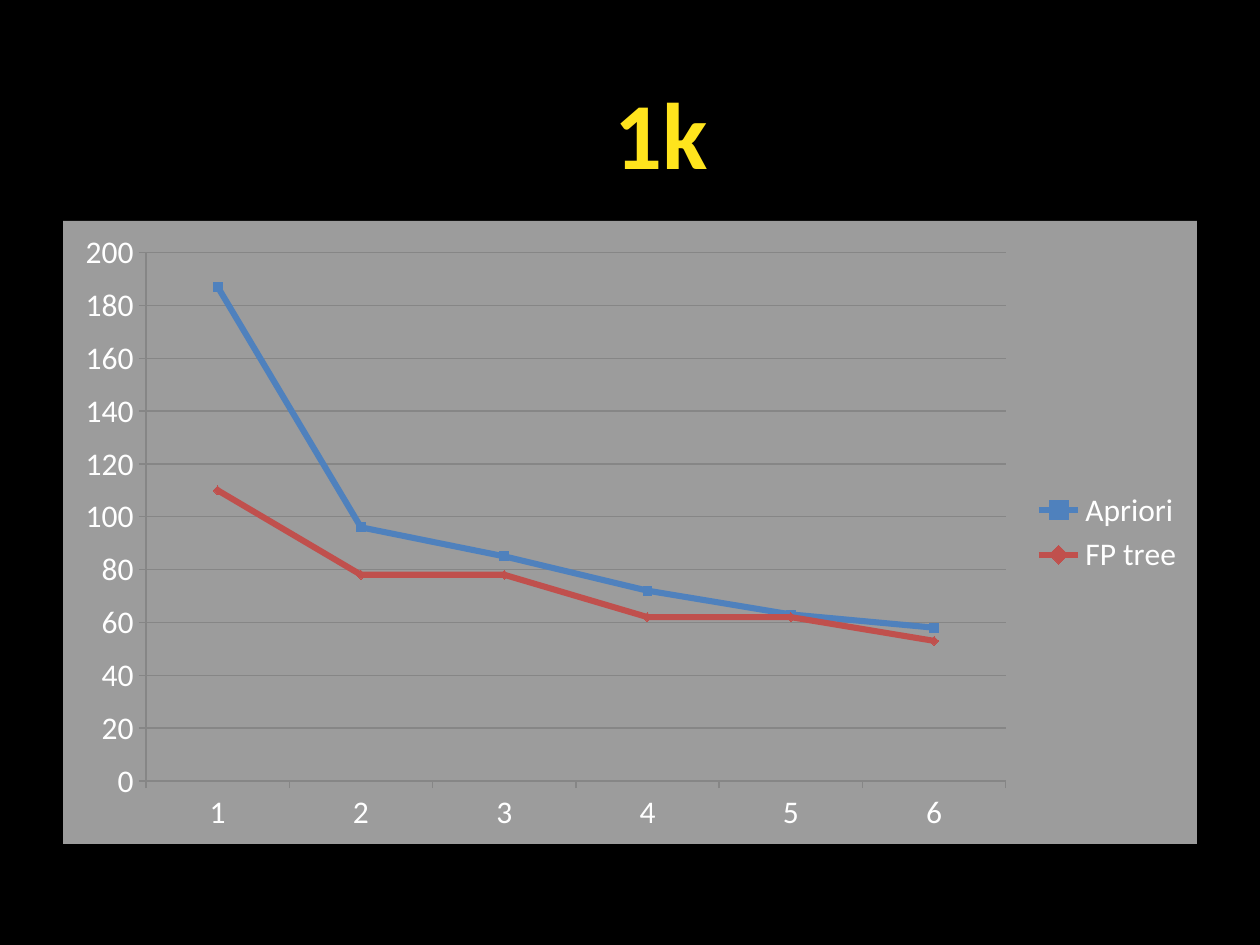
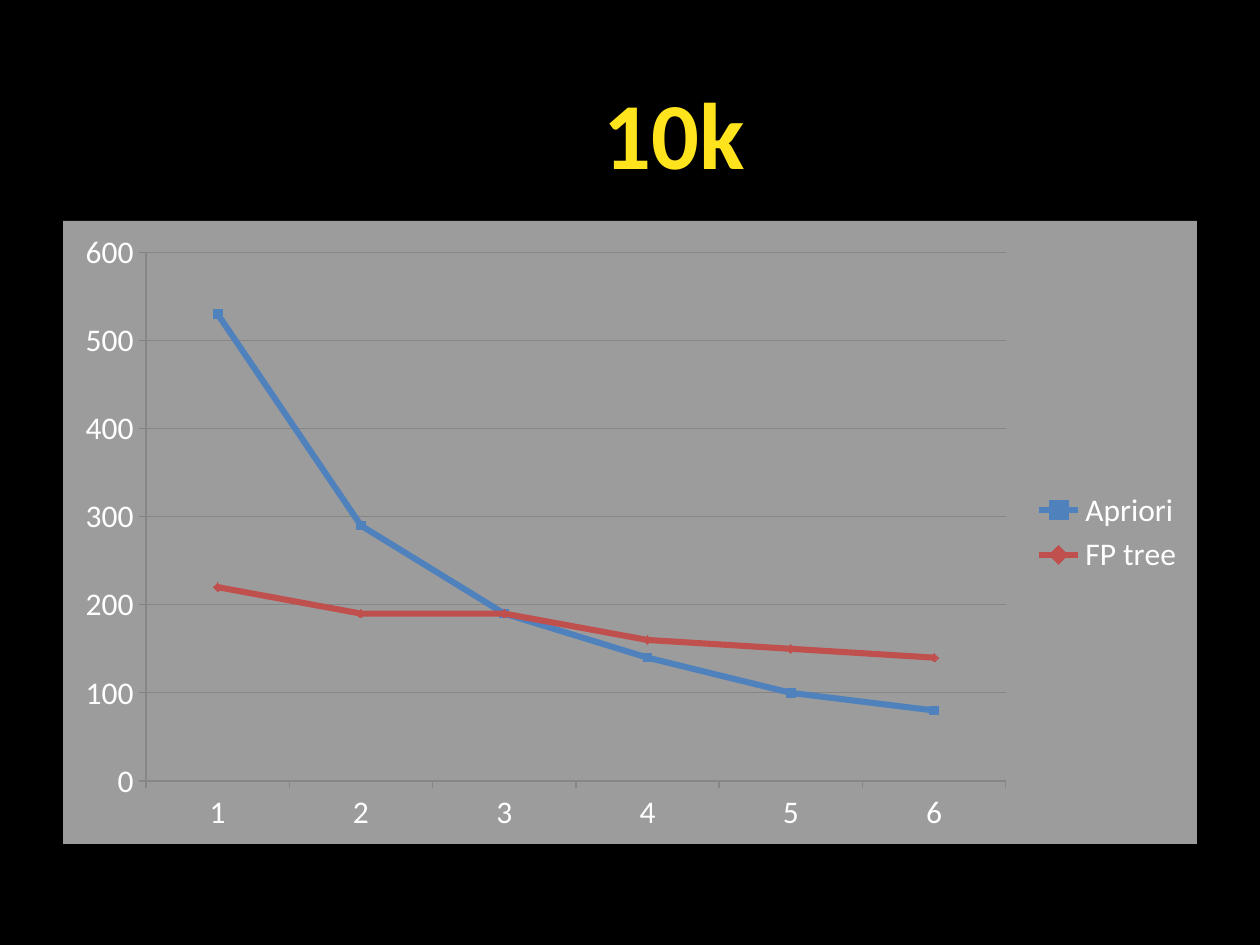
from lxml import etree
from pptx import Presentation
from pptx.chart.data import CategoryChartData
from pptx.dml.color import RGBColor
from pptx.enum.chart import XL_CHART_TYPE, XL_LEGEND_POSITION, XL_TICK_MARK
from pptx.enum.text import MSO_AUTO_SIZE, PP_ALIGN
from pptx.oxml import parse_xml
from pptx.util import Emu, Pt

LINE_MARKERS = XL_CHART_TYPE.LINE_MARKERS
LEGEND_RIGHT = XL_LEGEND_POSITION.RIGHT
TICK_OUTSIDE = XL_TICK_MARK.OUTSIDE
FIT_SHAPE = MSO_AUTO_SIZE.SHAPE_TO_FIT_TEXT
CENTER = PP_ALIGN.CENTER

FONT = "Calibri"
BLACK, WHITE, YELLOW, GRAY = "000000", "FFFFFF", "FFE41D", "868686"
SERIES_COLORS = ["4F81BD", "C0504D"]
PANEL_OPACITY = 61  # percent
DRAWING = "http://schemas.openxmlformats.org/drawingml/2006/main"
CHART = "http://schemas.openxmlformats.org/drawingml/2006/chart"
PANEL_XML = (
    f'<c:spPr xmlns:c="{CHART}" xmlns:a="{DRAWING}"><a:solidFill>'
    f'<a:srgbClr val="{WHITE}"><a:alpha val="{PANEL_OPACITY * 1000}"/></a:srgbClr>'
    "</a:solidFill><a:ln><a:noFill/></a:ln></c:spPr>"
)

# Title, title left and width, top of the value axis, its step, series values
PAGES = [
    ("1k", 601, 120, 200, 20,
     {"Apriori": [187, 96, 85, 72, 63, 58],
      "FP tree": [110, 78, 78, 62, 62, 53]}),
    ("10k", 590, 168, 600, 100,
     {"Apriori": [530, 290, 190, 140, 100, 80],
      "FP tree": [220, 190, 190, 160, 150, 140]}),
]


def px(*lengths):
    """Turn pixel lengths into a list of EMU lengths."""
    return [Emu(length * 914400 // 126) for length in lengths]


def color(hex_string):
    """Turn a hex string into a colour."""
    return RGBColor.from_string(hex_string)


deck = Presentation()
deck.slide_width, deck.slide_height = px(1260, 945)

for title, title_left, title_width, axis_top, axis_step, results in PAGES:
    page = deck.slides.add_slide(deck.slide_layouts[6])
    page.background.fill.solid()
    page.background.fill.fore_color.rgb = color(BLACK)

    box = page.shapes.add_textbox(*px(title_left, 69, title_width, 127))
    box.text_frame.word_wrap = False
    box.text_frame.auto_size = FIT_SHAPE
    paragraph = box.text_frame.paragraphs[0]
    paragraph.text = title
    paragraph.alignment = CENTER
    paragraph.font.name = FONT
    paragraph.font.size = Pt(54)
    paragraph.font.bold = True
    paragraph.font.color.rgb = color(YELLOW)

    chart_data = CategoryChartData()
    chart_data.categories = ["1", "2", "3", "4", "5", "6"]
    for name, values in results.items():
        chart_data.add_series(name, values)
    chart = page.shapes.add_chart(
        LINE_MARKERS, *px(63, 221, 1134, 623), chart_data).chart
    chart.has_title = False
    chart.font.name = FONT
    chart.font.size = Pt(18)
    chart.font.color.rgb = color(WHITE)
    chart.has_legend = True
    chart.legend.position = LEGEND_RIGHT
    chart.legend.include_in_layout = False

    # The panel fill belongs right after the c:chart element
    chart_space = chart.element
    chart_space.find(etree.QName(CHART, "chart").text).addnext(parse_xml(PANEL_XML))

    value_axis = chart.value_axis
    value_axis.minimum_scale, value_axis.maximum_scale = 0, axis_top
    value_axis.major_unit = axis_step
    value_axis.has_major_gridlines = True
    for axis in (chart.category_axis, value_axis):
        axis.major_tick_mark = TICK_OUTSIDE
    for rule in (chart.category_axis, value_axis, value_axis.major_gridlines):
        rule.format.line.color.rgb = color(GRAY)
        rule.format.line.width = Pt(0.75)

    chart.plots[0].vary_by_categories = False
    for series, series_color in zip(chart.plots[0].series, SERIES_COLORS):
        series.smooth = False
        series.format.line.color.rgb = color(series_color)
        series.format.line.width = Pt(3.5)

deck.save("out.pptx")
